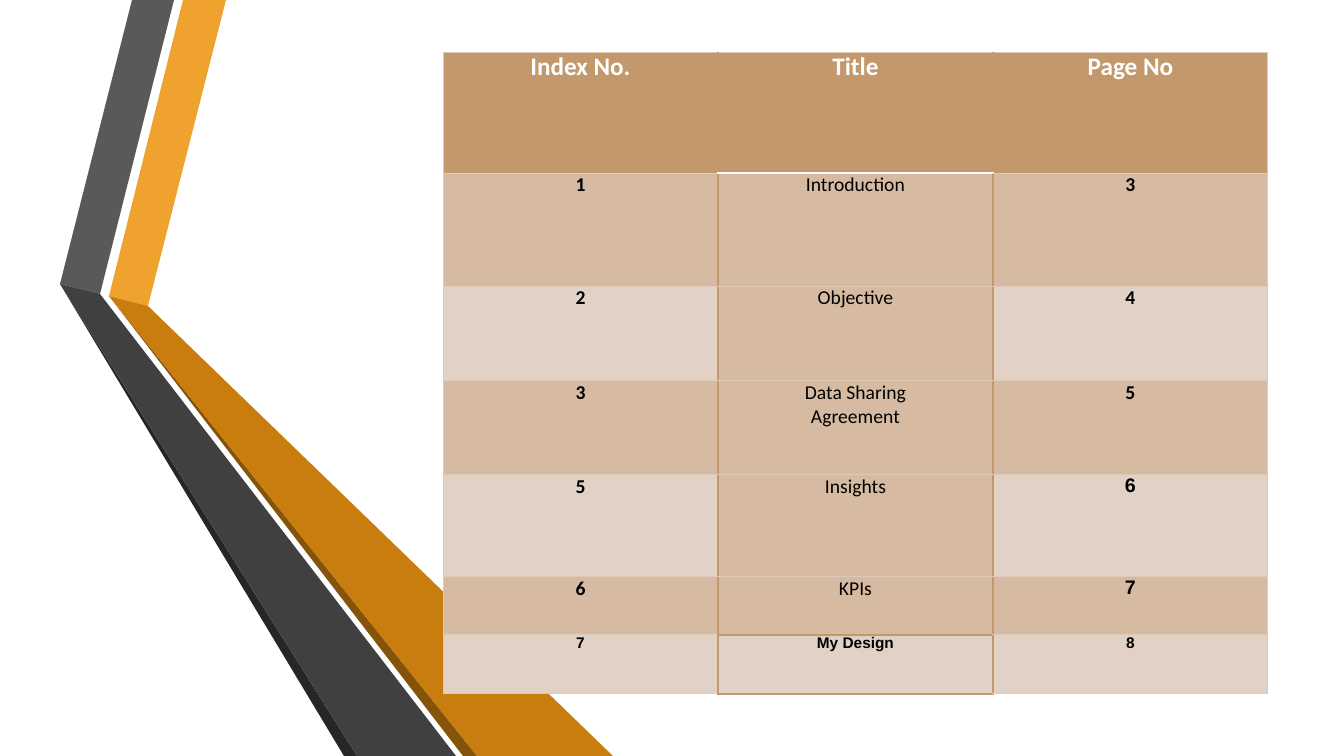
import pptx
import pptx.dml.color
import pptx.enum.text
import pptx.oxml.ns
import pptx.util
from lxml import etree

SCALE = 914400 / 100.8
TAN, PALE, WHITE, BLACK = "C3986D", "DECABA", "FFFFFF", "000000"
BAND, LIGHT = "D6BAA1", "E2D2C5"


def px(n):
    return pptx.util.Emu(round(n * SCALE))


def color(text):
    return pptx.dml.color.RGBColor.from_string(text)


deck = pptx.Presentation()
deck.slide_width, deck.slide_height = px(1344), px(756)
slide = deck.slides.add_slide(deck.slide_layouts[6])

# Folded ribbons on the left
ribbons = [
    ("F0A22E", [(109, 296), (148, 306), (226, 0), (183, 0)]),
    ("595959", [(100, 294), (174, 0), (132, 0), (60, 284)]),
    ("262626", [(60, 284), (344, 756), (357, 756)]),
    ("85540A", [(109, 296), (463, 756), (477, 756)]),
    ("C87D0E", [(109, 296), (477, 756), (613, 756), (148, 306)]),
    ("404040", [(60, 284), (357, 756), (456, 756), (100, 294)]),
]
for fill, points in ribbons:
    pen = slide.shapes.build_freeform(*points[0], scale=SCALE)
    pen.add_line_segments(points[1:], close=True)
    ribbon = pen.convert_to_shape()
    ribbon.shadow.inherit = False
    ribbon.fill.solid()
    ribbon.fill.fore_color.rgb = color(fill)
    ribbon.line.fill.background()

# Table of contents
rows = [
    ("Index No.", "Title", "Page No"),
    ("1", "Introduction", "3"),
    ("2", "Objective", "4"),
    ("3", "Data Sharing Agreement", "5"),
    ("5", "Insights", "6"),
    ("6", "KPIs", "7"),
    ("7", "My Design", "8"),
]
heights = [121, 113, 95, 94, 102, 58, 59]
spaces = [2.6, 2.5, 3.5, 3.6, 3.6, 3.6, 3.6]
last = len(rows) - 1
arial = {(4, 2), (5, 2), (last, 0), (last, 1), (last, 2)}

frame = slide.shapes.add_table(len(rows), 3, px(443), px(52), px(825), px(sum(heights)))
table = frame.table
table.first_row = table.horz_banding = False
for col in table.columns:
    col.width = px(275)

for r, words in enumerate(rows):
    table.rows[r].height = px(heights[r])
    for c, word in enumerate(words):
        cell = table.cell(r, c)
        for side in ("left", "right", "top", "bottom"):
            setattr(cell, "margin_" + side, 0)

        sides = {
            "L": TAN if c > 0 else PALE,
            "R": TAN if c < 2 else PALE,
            "T": TAN if c == 1 and r == last else PALE,
            "B": TAN if c == 1 and r >= last - 1 else PALE,
        }
        if c == 1 and r < 2:
            sides["B" if r == 0 else "T"] = WHITE
        props = cell._tc.get_or_add_tcPr()
        for side, tint in sides.items():
            width = pptx.util.Pt(0.75 if tint == PALE else 1.25)
            line = etree.SubElement(props, pptx.oxml.ns.qn("a:ln" + side), w=str(width))
            solid = etree.SubElement(line, pptx.oxml.ns.qn("a:solidFill"))
            etree.SubElement(solid, pptx.oxml.ns.qn("a:srgbClr"), val=tint)

        banded = r % 2 == 1 or (c == 1 and r < last)
        cell.fill.solid()
        cell.fill.fore_color.rgb = color(TAN if r == 0 else BAND if banded else LIGHT)

        para = cell.text_frame.paragraphs[0]
        para.alignment = pptx.enum.text.PP_ALIGN.CENTER
        para.space_before = pptx.util.Pt(spaces[r])
        inset = px(58 if r == 0 or c == 1 else 1)
        for key in ("marL", "marR"):
            para._p.get_or_add_pPr().set(key, str(inset))
        run = para.add_run()
        run.text = word
        style = {
            "name": "Arial" if (r, c) in arial else "Calibri",
            "size": pptx.util.Pt(18 if r == 0 else 11 if r == last else 14),
            "bold": c != 1 or r in (0, last),
        }
        for key, value in style.items():
            setattr(run.font, key, value)
        run.font.color.rgb = color(WHITE if r == 0 else BLACK)

deck.save("out.pptx")
